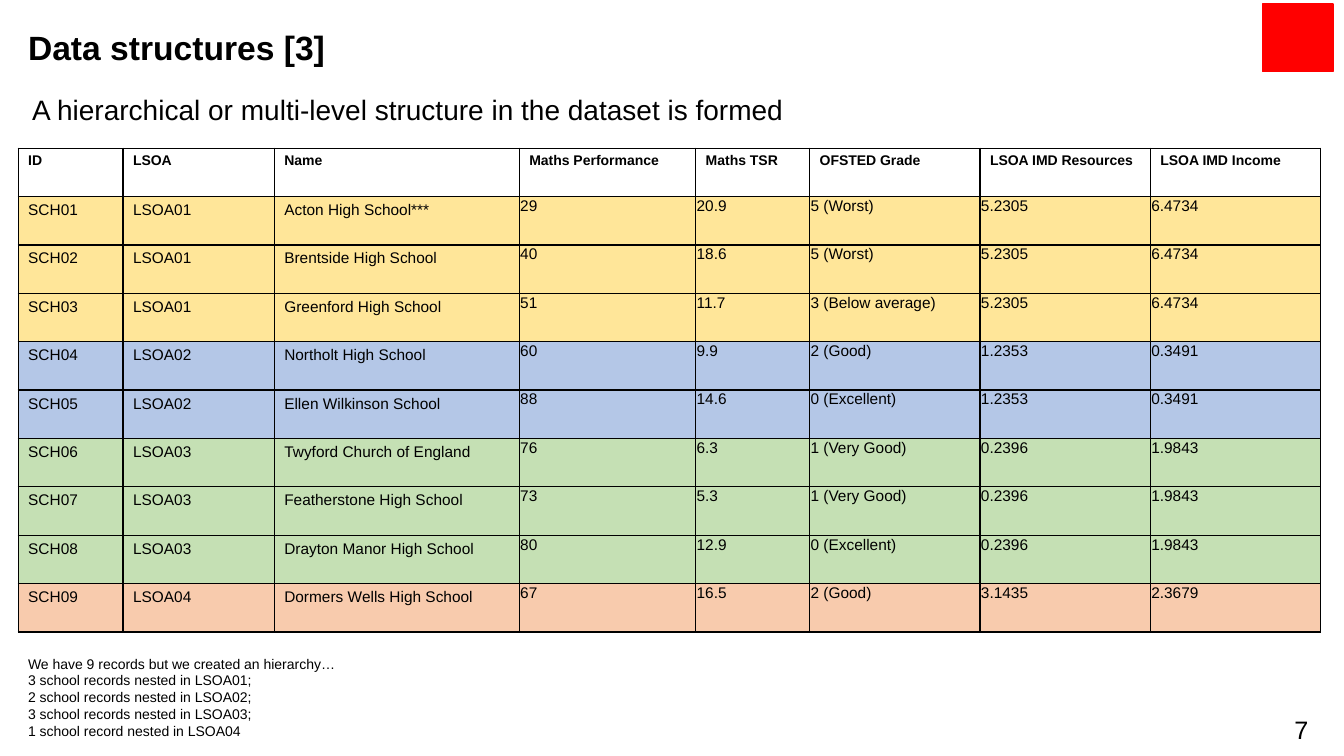
from dataclasses import dataclass

from lxml.etree import SubElement
from pptx import Presentation
from pptx.dml.color import RGBColor as RGB
from pptx.enum.shapes import MSO_SHAPE as Shape
from pptx.oxml.ns import qn
from pptx.util import Inches, Pt


@dataclass(frozen=True)
class Theme:
    font: str = "Arial"
    ink: str = "000000"
    accent: str = "FF0000"
    title: int = 24
    subtitle: int = 20
    page: int = 18
    body: int = 11
    small: int = 10
    border: int = 1


THEME = Theme()

HEADINGS = ["ID", "LSOA", "Name", "Maths Performance", "Maths TSR",
            "OFSTED Grade", "LSOA IMD Resources", "LSOA IMD Income"]
COLUMN_WIDTHS = [1.04, 1.5, 2.43, 1.75, 1.13, 1.69, 1.69, 1.69]
ROW_HEIGHT = 0.48
FIRST_TIGHT_COLUMN = 3

# Each area: fill, IMD resources, IMD income, schools
AREAS = [
    ("FFE699", "5.2305", "6.4734", [
        ("Acton High School***", "29", "20.9", "5 (Worst)"),
        ("Brentside High School", "40", "18.6", "5 (Worst)"),
        ("Greenford High School", "51", "11.7", "3 (Below average)")]),
    ("B4C7E7", "1.2353", "0.3491", [
        ("Northolt High School", "60", "9.9", "2 (Good)"),
        ("Ellen Wilkinson School", "88", "14.6", "0 (Excellent)")]),
    ("C5E0B4", "0.2396", "1.9843", [
        ("Twyford Church of England", "76", "6.3", "1 (Very Good)"),
        ("Featherstone High School", "73", "5.3", "1 (Very Good)"),
        ("Drayton Manor High School", "80", "12.9", "0 (Excellent)")]),
    ("F8CBAD", "3.1435", "2.3679", [
        ("Dormers Wells High School", "67", "16.5", "2 (Good)")]),
]

NOTES = ["We have 9 records but we created an hierarchy…",
         "3 school records nested in LSOA01;",
         "2 school records nested in LSOA02;",
         "3 school records nested in LSOA03;",
         "1 school record nested in LSOA04"]


def write(frame, lines, size, bold=False):
    frame.word_wrap = True
    for number, line in enumerate(lines):
        paragraph = frame.add_paragraph() if number else frame.paragraphs[0]
        run = paragraph.add_run()
        run.text = line
        style = {"name": THEME.font, "size": Pt(size), "bold": bold}
        for attribute, value in style.items():
            setattr(run.font, attribute, value)
        run.font.color.rgb = RGB.from_string(THEME.ink)


def outline(cell):
    """Draw the four borders; they must come before the fill in the cell's XML."""
    properties = cell._tc.get_or_add_tcPr()
    for side in ("a:lnL", "a:lnR", "a:lnT", "a:lnB"):
        line = SubElement(properties, qn(side), w=str(Pt(THEME.border)))
        fill = SubElement(line, qn("a:solidFill"))
        SubElement(fill, qn("a:srgbClr"), val=THEME.ink)


deck = Presentation()
deck.slide_width, deck.slide_height = Inches(13.33), Inches(7.5)
slide = deck.slides.add_slide(deck.slide_layouts[6])

# Corner mark
corner = slide.shapes.add_shape(
    Shape.RECTANGLE, Inches(12.52), Inches(0.04), Inches(0.7), Inches(0.67))
corner.shadow.inherit = False
corner.fill.solid()
corner.fill.fore_color.rgb = RGB.from_string(THEME.accent)
corner.line.color.rgb = RGB.from_string(THEME.accent)
corner.line.width = Pt(1)

# Schools nested in areas
records = [(HEADINGS, None)]
for area_number, (fill, resources, income, schools) in enumerate(AREAS, 1):
    for school in schools:
        values = [f"SCH{len(records):02}", f"LSOA{area_number:02}",
                  *school, resources, income]
        records.append((values, fill))

school_table = slide.shapes.add_table(
    len(records), len(HEADINGS), Inches(0.18), Inches(1.47),
    Inches(sum(COLUMN_WIDTHS)), Inches(ROW_HEIGHT * len(records))).table
school_table.horz_banding = False
for column, width in zip(school_table.columns, COLUMN_WIDTHS):
    column.width = Inches(width)

tight_margins = {"margin_left": Inches(0.01), "margin_right": Inches(0.01),
                 "margin_top": Inches(0.01), "margin_bottom": 0}
for row_number, (values, fill) in enumerate(records):
    school_table.rows[row_number].height = Inches(ROW_HEIGHT)
    is_heading = row_number == 0
    for column_number, value in enumerate(values):
        cell = school_table.cell(row_number, column_number)
        outline(cell)
        if is_heading:
            cell.fill.background()
        else:
            cell.fill.solid()
            cell.fill.fore_color.rgb = RGB.from_string(fill)
            if column_number >= FIRST_TIGHT_COLUMN:
                for attribute, margin in tight_margins.items():
                    setattr(cell, attribute, margin)
        write(cell.text_frame, [value],
              THEME.small if is_heading else THEME.body, is_heading)

# Title, subtitle, notes and page number
texts = [
    ((0.18, 0.22, 11.44, 0.5), ["Data structures [3]"], THEME.title, True),
    ((0.22, 0.87, 9.78, 0.44),
     ["A hierarchical or multi-level structure in the dataset is formed"],
     THEME.subtitle, False),
    ((0.18, 6.45, 3.35, 0.94), NOTES, THEME.small, False),
    ((12.74, 7.04, 0.59, 0.16), ["7"], THEME.page, False),
]
for place, lines, size, bold in texts:
    box = slide.shapes.add_textbox(*map(Inches, place))
    write(box.text_frame, lines, size, bold)

deck.save("out.pptx")
